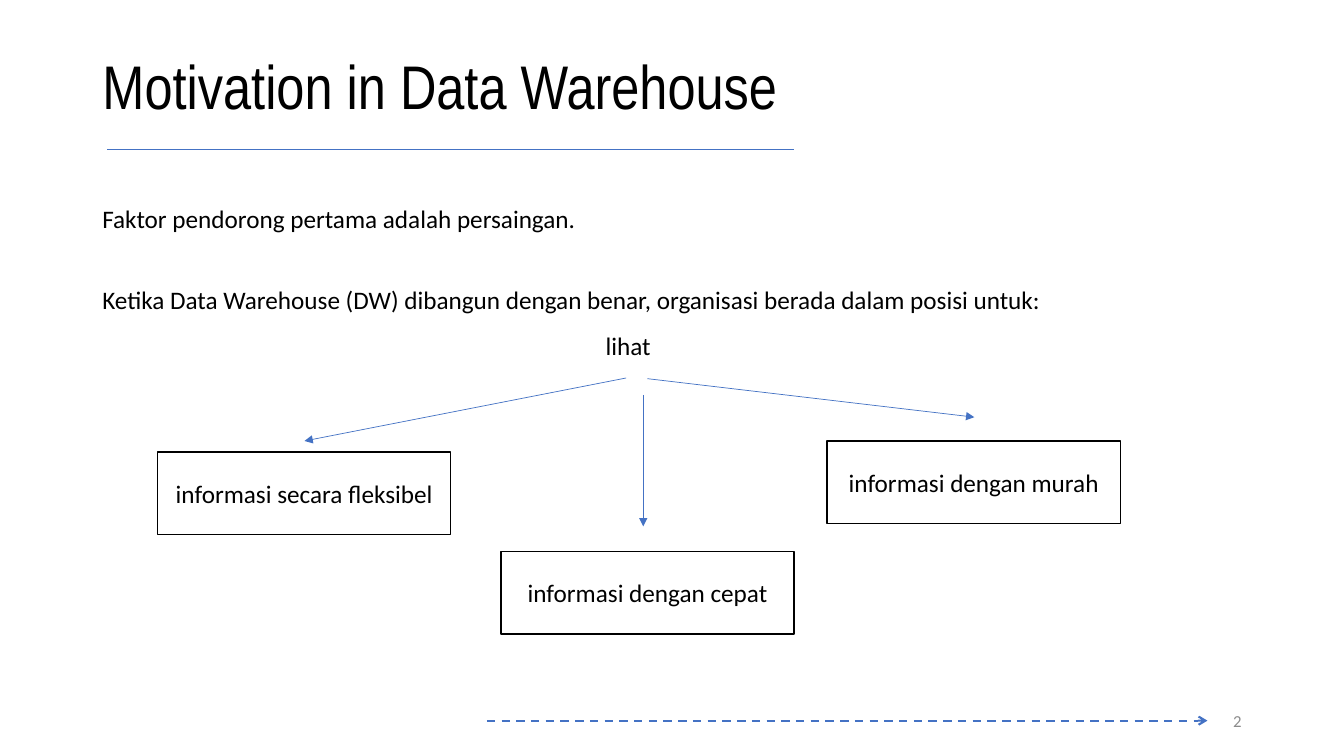
import pptx
import pptx.util
import pptx.dml.color
import pptx.enum.dml
import pptx.enum.shapes
import pptx.enum.text
import pptx.oxml.ns
from lxml import etree

Pt = pptx.util.Pt
ALIGN = pptx.enum.text.PP_ALIGN
ANCHOR = pptx.enum.text.MSO_ANCHOR
BLACK, BLUE, GRAY = "000000", "4472C4", "8C8C8C"

TITLE = "Motivation in Data Warehouse"
BODY = [
    "Faktor pendorong pertama adalah persaingan.",
    "Ketika Data Warehouse (DW) dibangun dengan benar, organisasi berada dalam posisi untuk:",
]
GOALS = [
    ("informasi secara fleksibel", 112.5, 322.75),
    ("informasi dengan cepat", 357.75, 393.75),
    ("informasi dengan murah", 590.75, 315),
]
LINES = [
    ((347.75, 514.75), (862.5, 514.75), 1.5, "arrow"),
    ((76.5, 106.75), (567.5, 106.75), 0.5, None),
    ((447.25, 270), (217.5, 315), 0.5, "triangle"),
    ((459.5, 282), (459.5, 376), 0.5, "triangle"),
    ((462.5, 270.5), (696, 298), 0.5, "triangle"),
]
LEFT, WIDE = 66, 828
BOX = (209.5, 59)


def color(text):
    return pptx.dml.color.RGBColor.from_string(text)


def write(shape, texts, size=18, font="Calibri", ink=BLACK,
          align=ALIGN.CENTER, anchor=ANCHOR.MIDDLE, lead=None, gap=0):
    frame = shape.text_frame
    frame.text = "\n".join(texts)
    frame.word_wrap = True
    frame.auto_size = pptx.enum.text.MSO_AUTO_SIZE.NONE
    frame.vertical_anchor = anchor
    for row, para in enumerate(frame.paragraphs):
        para.alignment = align
        para.line_spacing = lead
        para.space_before = Pt(gap if row else 0)
        para.font.size = Pt(size)
        para.font.name = font
        para.font.color.rgb = color(ink)


def label(box, texts, **style):
    write(slide.shapes.add_textbox(*map(Pt, box)), texts, **style)


def draw(start, end, width, head):
    link = slide.shapes.add_connector(
        pptx.enum.shapes.MSO_CONNECTOR.STRAIGHT, *map(Pt, start + end))
    link.line.color.rgb = color(BLUE)
    link.line.width = Pt(width)
    if head == "arrow":
        link.line.dash_style = pptx.enum.dml.MSO_LINE.DASH
    if head:
        tail = etree.SubElement(link.line._get_or_add_ln(), pptx.oxml.ns.qn("a:tailEnd"))
        tail.set("type", head)
    etree.SubElement(link._element.spPr, pptx.oxml.ns.qn("a:effectLst"))


deck = pptx.Presentation()
deck.slide_width, deck.slide_height = Pt(960), Pt(540)
slide = deck.slides.add_slide(deck.slide_layouts[5])

title = slide.shapes.title
title.left, title.top, title.width, title.height = map(Pt, (LEFT, 28.75, WIDE, 70.5))
write(title, [TITLE], size=44, font="Arial Narrow", align=ALIGN.LEFT, lead=0.9)

label((LEFT, 144, WIDE, 342.5), BODY, align=ALIGN.LEFT, anchor=ANCHOR.TOP,
      lead=0.9, gap=38.5)
label((678, 500.5, 216, 28.75), ["2"], size=12, ink=GRAY, align=ALIGN.RIGHT)
label((421, 232, 55.5, 29.5), ["lihat"])

for text, left, top in GOALS:
    goal = slide.shapes.add_shape(
        pptx.enum.shapes.MSO_SHAPE.RECTANGLE, *map(Pt, (left, top) + BOX))
    goal.shadow.inherit = False
    goal.fill.background()
    goal.line.color.rgb = color(BLACK)
    goal.line.width = Pt(1)
    write(goal, [text])

for line in LINES:
    draw(*line)

deck.save("out.pptx")
